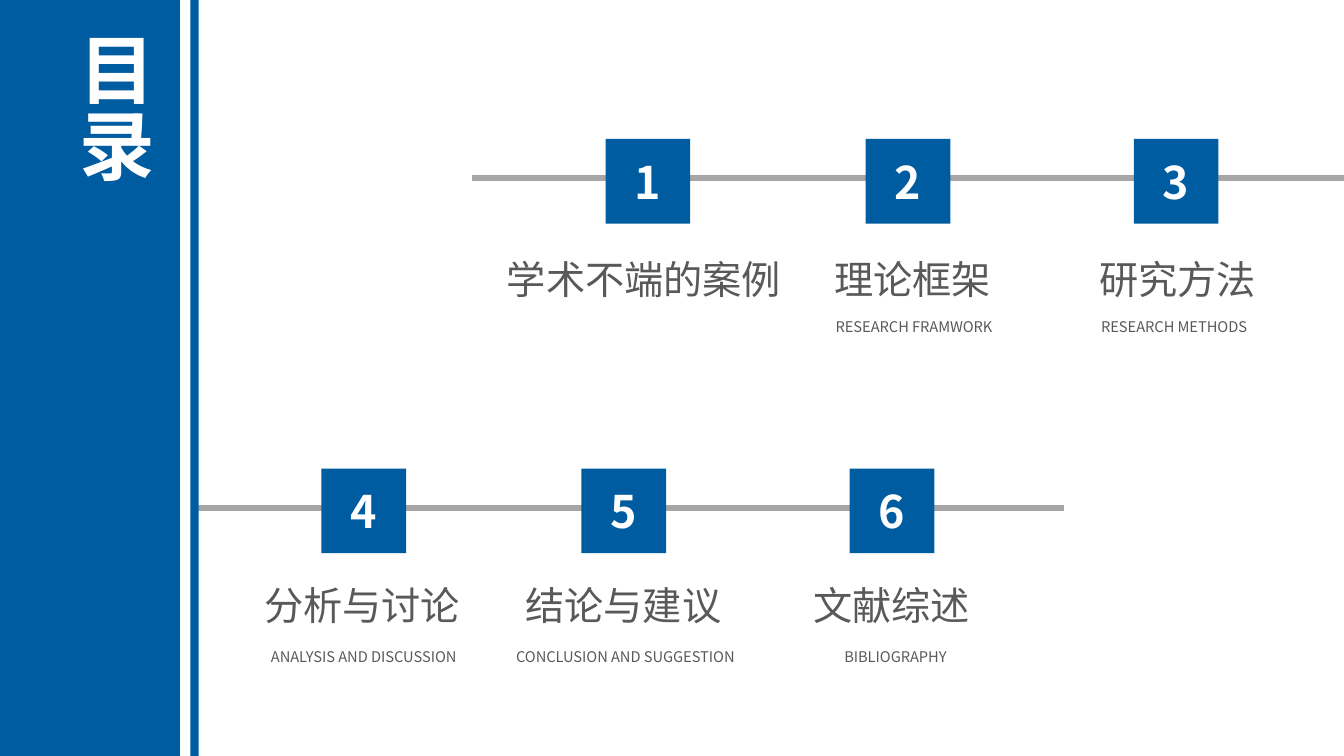
"""Build the contents slide with two rows of numbered sections."""
import pptx
import pptx.util
import pptx.dml.color
import pptx.enum.shapes
import pptx.enum.text
from lxml import etree

Pt = pptx.util.Pt
ALIGN = pptx.enum.text.PP_ALIGN
ANCHOR = pptx.enum.text.MSO_ANCHOR
FONT = "Noto Sans CJK SC"
HEX = {"blue": "005CA1", "gray": "A6A6A6", "text": "595959", "white": "FFFFFF"}
SIDE = 60.5
STEPS = (0, 185.8, 377.3)
TOP = [
    ("学术不端的案例", -2.9, "", 0, 0),
    ("理论框架", 3.2, "RESEARCH FRAMWORK", 4.3, 135.4),
    ("研究方法", 1.1, "RESEARCH METHODS", -1.4, 125.3),
]
LOW = [
    ("分析与讨论", -1.1, "ANALYSIS AND DISCUSSION", 0, 167),
    ("结论与建议", -0.4, "CONCLUSION AND SUGGESTION", 1.1, 183.6),
    ("文献综述", -0.4, "BIBLIOGRAPHY", 2.5, 91.4),
]


def tint(name):
    """Return the named colour."""
    return pptx.dml.color.RGBColor.from_string(HEX[name])


def style(frame, text, size, color, bold=False, align=ALIGN.CENTER):
    """Fill a text frame with one styled paragraph."""
    frame.text = text
    para = frame.paragraphs[0]
    para.alignment = align
    font = para.font
    font.size, font.bold, font.name = Pt(size), bold, FONT
    font.color.rgb = tint(color)
    props = font._element
    etree.SubElement(props, pptx.oxml.ns.qn("a:ea")).set("typeface", FONT)


def block(slide, left, top, width, height):
    """Draw a plain blue rectangle."""
    kind = pptx.enum.shapes.MSO_SHAPE.RECTANGLE
    shape = slide.shapes.add_shape(kind, Pt(left), Pt(top), Pt(width), Pt(height))
    shape.shadow.inherit = False
    shape.fill.solid()
    shape.fill.fore_color.rgb = tint("blue")
    shape.line.fill.background()
    return shape


def rail(slide, left, right, y):
    """Draw the gray line behind a row of squares."""
    kind = pptx.enum.shapes.MSO_CONNECTOR.STRAIGHT
    line = slide.shapes.add_connector(kind, Pt(left), Pt(y), Pt(right), Pt(y))
    line.line.color.rgb = tint("gray")
    line.line.width = Pt(4)
    etree.SubElement(line._element.spPr, pptx.oxml.ns.qn("a:effectLst"))


def label(slide, mid, top, width, height, text, size):
    """Place one line of text centred on mid."""
    box = slide.shapes.add_textbox(Pt(mid - width / 2), Pt(top), Pt(width), Pt(height))
    box.text_frame.word_wrap = False
    style(box.text_frame, text, size, "text")


def row(slide, box, inset, drop, first, items):
    """Place a line with its numbered squares and labels in a box."""
    left, top, width = box
    rail(slide, left, left + width, top + 28)
    for i, (head, shift, sub, move, wide) in enumerate(items):
        x = left + inset + STEPS[i]
        mid = x + SIDE / 2
        square = block(slide, x, top, SIDE, SIDE)
        square.text_frame.vertical_anchor = ANCHOR.MIDDLE
        style(square.text_frame, str(first + i), 32, "white", True)
        label(slide, mid + shift, top + drop, 28 * len(head) + 14.4, 41, head, 28)
        if sub:
            label(slide, mid + move, top + 124.5, wide, 20.2, sub, 10.5)


def banner(slide, box):
    """Draw the side bars and the vertical title in a box."""
    left, top, width, height = box
    block(slide, left, top, width - 13.5, height)
    block(slide, left + width - 6, top, 6, height)
    title = slide.shapes.title
    title.left, title.top = Pt(left + 41.8), Pt(top + 19.4)
    title.width, title.height = Pt(80), Pt(138.2)
    frame = title.text_frame
    frame.word_wrap = True
    frame.auto_size = pptx.enum.text.MSO_AUTO_SIZE.NONE
    frame.vertical_anchor = ANCHOR.TOP
    frame._txBody.bodyPr.set("vert", "eaVert")
    style(frame, "目录", 54, "white", True, ALIGN.JUSTIFY)
    slide.shapes._spTree.append(title._element)


def main():
    """Build and save the slide."""
    deck = pptx.Presentation()
    deck.slide_width, deck.slide_height = Pt(960), Pt(540)
    slide = deck.slides.add_slide(deck.slide_layouts[5])
    row(slide, (337, 99.2, 623), 95.6, 79.5, 1, TOP)
    row(slide, (136.8, 334.7, 623.2), 92.8, 77.3, 4, LOW)
    banner(slide, (0, 0, 142, 540))
    deck.save("out.pptx")


if __name__ == "__main__":
    main()
